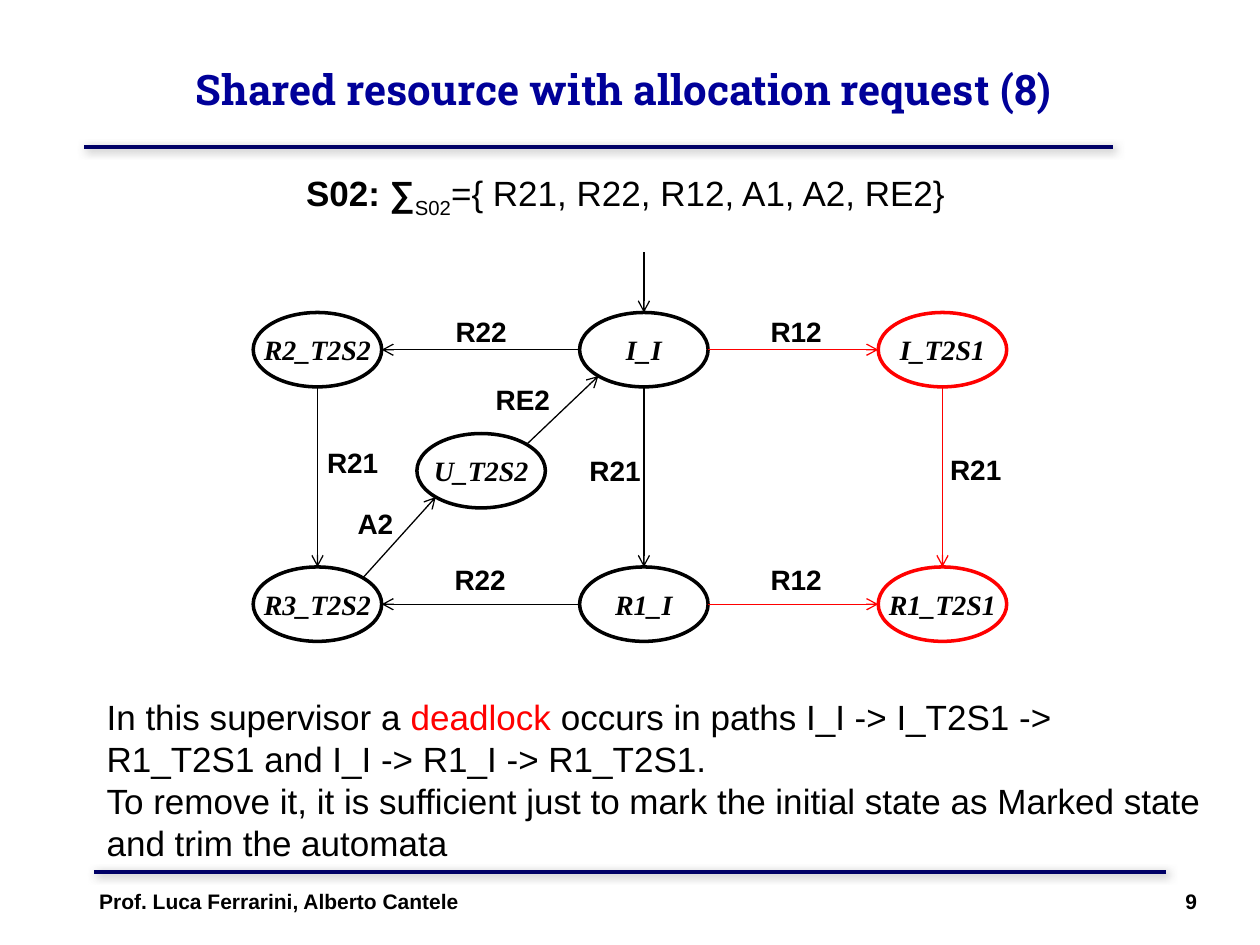
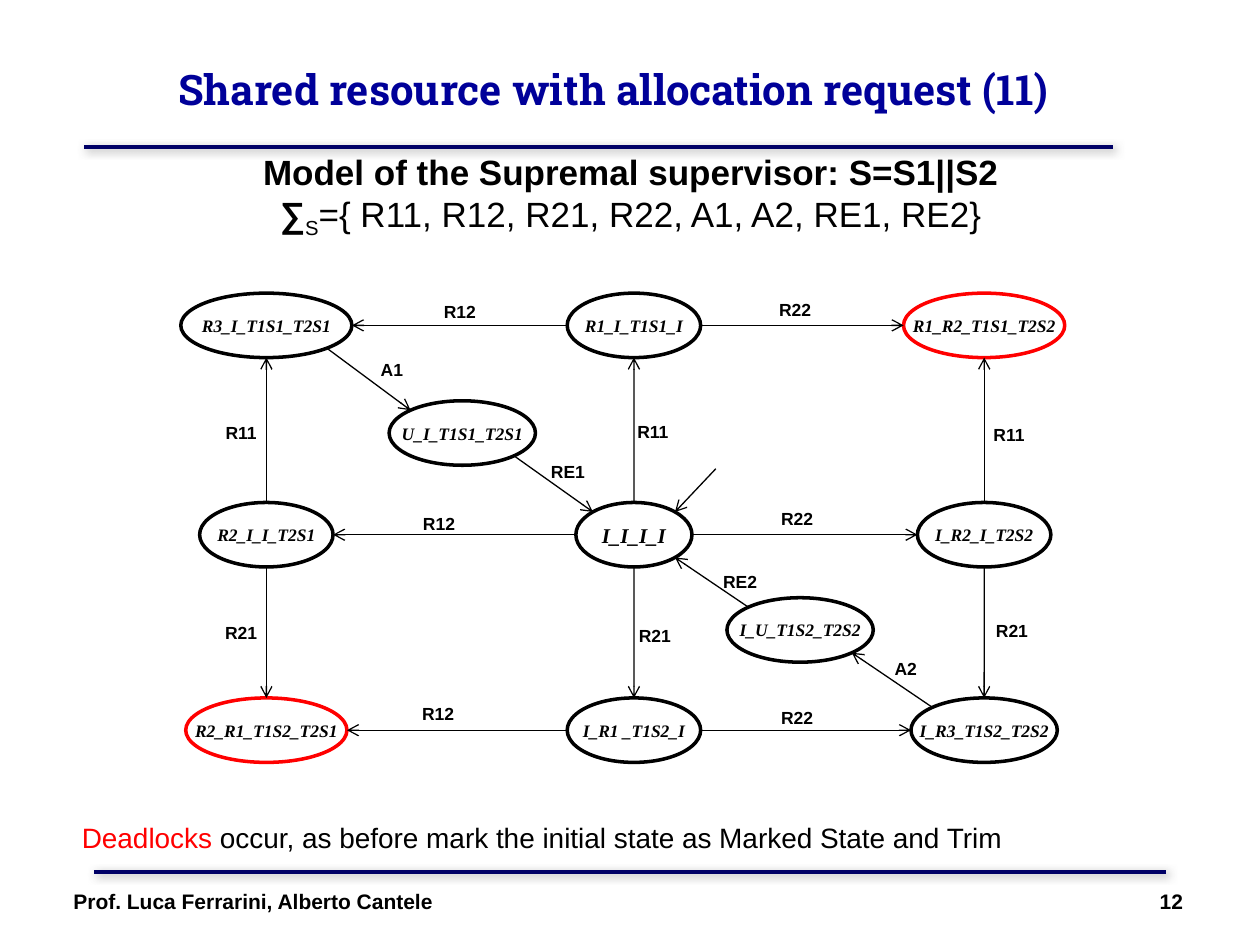
"""Build two slides of state diagrams for a shared-resource supervisor."""
from math import sqrt

from lxml import etree
from pptx import Presentation
from pptx.dml.color import RGBColor
from pptx.enum.shapes import MSO_CONNECTOR, MSO_SHAPE
from pptx.enum.text import MSO_ANCHOR, PP_ALIGN
from pptx.oxml.ns import qn
from pptx.util import Cm, Pt

OVAL = MSO_SHAPE.OVAL
STRAIGHT = MSO_CONNECTOR.STRAIGHT
TOP, MIDDLE = MSO_ANCHOR.TOP, MSO_ANCHOR.MIDDLE
LEFT, CENTER, RIGHT = PP_ALIGN.LEFT, PP_ALIGN.CENTER, PP_ALIGN.RIGHT

BLACK = RGBColor(0x00, 0x00, 0x00)
WHITE = RGBColor(0xFF, 0xFF, 0xFF)
RED = RGBColor(0xFF, 0x00, 0x00)
NAVY = RGBColor(0x00, 0x00, 0x66)
BLUE = RGBColor(0x00, 0x00, 0x99)
GRAY = RGBColor(0x80, 0x80, 0x80)

SANS, SERIF, SLAB = "Arial", "Times New Roman", "Roboto Slab"
AUTHORS = "Prof. Luca Ferrarini, Alberto Cantele"

DIAG = sqrt(0.5)
SITES = {
    "n": (0, 0, -1), "nw": (1, -DIAG, -DIAG),
    "w": (2, -1, 0), "sw": (3, -DIAG, DIAG),
    "s": (4, 0, 1), "se": (5, DIAG, DIAG),
    "e": (6, 1, 0), "ne": (7, DIAG, -DIAG),
}


def write(frame, paras, size=20, font=SANS, color=BLACK, bold=False,
          italic=False, align=LEFT, anchor=TOP, wrap=True, inset=None):
    """Fill a text frame; a run is a string or a (string, changes) pair."""
    frame.word_wrap = wrap
    frame.vertical_anchor = anchor
    if inset is not None:
        frame.margin_left = frame.margin_right = Cm(inset)
        frame.margin_top = frame.margin_bottom = Cm(inset)
    for i, runs in enumerate(paras):
        para = frame.add_paragraph() if i else frame.paragraphs[0]
        para.alignment = align
        for item in runs:
            words, change = (item, {}) if isinstance(item, str) else item
            run = para.add_run()
            run.text = words
            run.font.name = font
            run.font.size = Pt(size)
            run.font.italic = italic
            run.font.bold = change.get("bold", bold)
            run.font.color.rgb = change.get("color", color)
            if "base" in change:
                run.font._element.set("baseline", str(change["base"] * 1000))


def text(slide, left, top, width, height, paras, **form):
    """Add a text box with formatted paragraphs."""
    box = slide.shapes.add_textbox(Cm(left), Cm(top), Cm(width), Cm(height))
    write(box.text_frame, paras, **form)


def line(slide, start, end, color=BLACK, width=0.75):
    """Add a straight line and return it with its empty effect list."""
    ends = [Cm(v) for v in (*start, *end)]
    link = slide.shapes.add_connector(STRAIGHT, *ends)
    link.line.color.rgb = color
    link.line.width = Pt(width)
    effects = etree.SubElement(link._element.spPr, qn("a:effectLst"))
    return link, effects


def arrow(slide, start, end, color=BLACK):
    """Add a line with an open arrowhead at its end."""
    link, _ = line(slide, start, end, color)
    etree.SubElement(link.line._get_or_add_ln(), qn("a:tailEnd"), type="arrow")
    return link


def rule(slide, left, right, y):
    """Add a navy rule with a soft grey shadow."""
    _, effects = line(slide, (left, y), (right, y), NAVY, 2.25)
    shade = etree.SubElement(effects, qn("a:outerShdw"), blurRad=str(Pt(5)),
                             dist=str(Pt(1.4)), dir="2700000")
    tint = etree.SubElement(shade, qn("a:srgbClr"), val=str(GRAY))
    etree.SubElement(tint, qn("a:alpha"), val="75000")


def state(slide, name, x, y, width, height, color=BLACK, size=16):
    """Add an oval state centred on a point."""
    oval = slide.shapes.add_shape(OVAL, Cm(x - width / 2), Cm(y - height / 2),
                                  Cm(width), Cm(height))
    oval.shadow.inherit = False
    oval.fill.solid()
    oval.fill.fore_color.rgb = WHITE
    oval.line.color.rgb = color
    oval.line.width = Pt(2)
    write(oval.text_frame, [[name]], size=size, font=SERIF, bold=True,
          italic=True, align=CENTER, anchor=MIDDLE, wrap=False, inset=0)
    return oval


def site(oval, side):
    """Give the point on an oval's rim, in centimetres."""
    _, dx, dy = SITES[side]
    return (oval.left.cm + oval.width.cm * (1 + dx) / 2,
            oval.top.cm + oval.height.cm * (1 + dy) / 2)


def join(slide, tail, out, head, into, color=BLACK):
    """Draw an arrow between two ovals, glued at the ends of their axes."""
    link = arrow(slide, site(tail, out), site(head, into), color)
    glue = link._element.nvCxnSpPr.cNvCxnSpPr
    for tag, oval, side in (("a:stCxn", tail, out), ("a:endCxn", head, into)):
        if len(side) == 1:
            etree.SubElement(glue, qn(tag), id=str(oval.shape_id),
                             idx=str(SITES[side][0]))


def graph(slide, ovals, edges, size):
    """Draw the labelled arrows of a state graph."""
    for tail, out, head, into, label, x, y, color in edges:
        join(slide, ovals[tail], out, ovals[head], into, color)
        text(slide, x - 0.85, y - 0.47, 1.7, 0.94, [[label]], size=size,
             bold=True, align=CENTER, anchor=MIDDLE, inset=0)


def base(deck, title, title_x, number, name_x, num_x):
    """Add a slide with title, rules and footer."""
    slide = deck.slides.add_slide(deck.slide_layouts[6])
    rule(slide, 1.7, 22.43, 2.97)
    rule(slide, 1.9, 23.5, 17.58)
    text(slide, title_x, 0.2, 21.6, 3.17, [[title]], size=24, font=SLAB,
         color=BLUE, bold=True, align=CENTER, anchor=MIDDLE)
    text(slide, name_x, 17.78, 14, 1.27, [[AUTHORS]], size=12, bold=True)
    text(slide, num_x, 17.78, 2, 1.27, [[str(number)]], size=12, bold=True,
         align=RIGHT)
    return slide


def request(deck):
    """Build the slide on supervisor S02."""
    slide = base(deck, "Shared resource with allocation request (8)", 1.78,
                 9, 1.75, 22.38)
    text(slide, 5.92, 3.33, 13.82, 1.12, [[
        ("S02: ∑", {"bold": True}), ("S02", {"base": -25}),
        "={ R21, R22, R12, A1, A2, RE2}"]])
    text(slide, 1.9, 13.9, 22.6, 3.68, [
        ["In this supervisor a ", ("deadlock", {"color": RED}),
         " occurs in paths I_I -> I_T2S1 -> R1_T2S1 and "
         "I_I -> R1_I -> R1_T2S1."],
        ["To remove it, it is sufficient just to mark the initial state "
         "as Marked state and trim the automata"]])

    west, mid, east = 6.4, 12.98, 19
    high, low = 7.05, 12.18
    states = [
        ("R2_T2S2", west, high, BLACK), ("I_I", mid, high, BLACK),
        ("I_T2S1", east, high, RED), ("U_T2S2", 9.7, 9.49, BLACK),
        ("R3_T2S2", west, low, BLACK), ("R1_I", mid, low, BLACK),
        ("R1_T2S1", east, low, RED),
    ]
    ovals = {name: state(slide, name, x, y, 2.59, 1.5, color)
             for name, x, y, color in states}
    graph(slide, ovals, [
        ("I_I", "w", "R2_T2S2", "e", "R22", 9.7, 6.67, BLACK),
        ("I_I", "e", "I_T2S1", "w", "R12", 16.05, 6.67, RED),
        ("R2_T2S2", "s", "R3_T2S2", "n", "R21", 7.11, 9.33, BLACK),
        ("I_I", "s", "R1_I", "n", "R21", 12.4, 9.49, BLACK),
        ("I_T2S1", "s", "R1_T2S1", "n", "R21", 19.67, 9.46, RED),
        ("R1_I", "w", "R3_T2S2", "e", "R22", 9.68, 11.67, BLACK),
        ("R1_I", "e", "R1_T2S1", "w", "R12", 16.05, 11.67, RED),
        ("R3_T2S2", "ne", "U_T2S2", "sw", "A2", 7.57, 10.55, BLACK),
        ("U_T2S2", "ne", "I_I", "sw", "RE2", 10.54, 8.06, BLACK),
    ], 16)
    arrow(slide, (mid, 5.08), site(ovals["I_I"], "n"))


def supremal(deck):
    """Build the slide on the supremal supervisor."""
    slide = base(deck, "Shared resource with allocation request (11)", 1.57,
                 12, 1.23, 22.1)
    text(slide, 1.42, 2.9, 22.6, 1.96, [
        [("Model of the Supremal supervisor: S=S1||S2", {"bold": True})],
        [("∑", {"bold": True}), ("S", {"base": -25}),
         "={ R11, R12, R21, R22, A1, A2, RE1, RE2}"]], align=CENTER)
    text(slide, 1.4, 16.41, 22.6, 0.94, [[
        ("Deadlocks", {"color": RED}),
        " occur, as before mark the initial state as Marked State and Trim",
    ]], size=16)

    west, mid, east = 5.37, 12.78, 19.84
    high, half, low = 6.56, 10.78, 14.72
    states = [
        ("R3_I_T1S1_T2S1", west, high, 3.45, BLACK, 10),
        ("R1_I_T1S1_I", mid, high, 2.69, BLACK, 10),
        ("R1_R2_T1S1_T2S2", east, high, 3.25, RED, 10),
        ("U_I_T1S1_T2S1", 9.32, 8.73, 2.95, BLACK, 10),
        ("R2_I_I_T2S1", west, half, 2.69, BLACK, 10),
        ("I_I_I_I", mid, half, 2.34, BLACK, 12),
        ("I_R2_I_T2S2", east, half, 2.69, BLACK, 10),
        ("I_U_T1S2_T2S2", 16.13, 12.7, 2.95, BLACK, 10),
        ("R2_R1_T1S2_T2S1", west, low, 3.25, RED, 10),
        ("I_R1 _T1S2_I", mid, low, 2.69, BLACK, 10),
        ("I_R3_T1S2_T2S2", east, low, 2.95, BLACK, 10),
    ]
    ovals = {name: state(slide, name, x, y, width, 1.3, color, size)
             for name, x, y, width, color, size in states}
    edges = [
        ("R1_I_T1S1_I", "w", "R3_I_T1S1_T2S1", "e", "R12", 9.27, 6.29),
        ("R1_I_T1S1_I", "e", "R1_R2_T1S1_T2S2", "w", "R22", 16.03, 6.24),
        ("R2_I_I_T2S1", "n", "R3_I_T1S1_T2S1", "s", "R11", 4.86, 8.72),
        ("I_I_I_I", "n", "R1_I_T1S1_I", "s", "R11", 13.16, 8.7),
        ("I_R2_I_T2S2", "n", "R1_R2_T1S1_T2S2", "s", "R11", 20.34, 8.75),
        ("I_I_I_I", "w", "R2_I_I_T2S1", "e", "R12", 8.85, 10.55),
        ("I_I_I_I", "e", "I_R2_I_T2S2", "w", "R22", 16.07, 10.45),
        ("R2_I_I_T2S1", "s", "R2_R1_T1S2_T2S1", "n", "R21", 4.86, 12.76),
        ("I_I_I_I", "s", "I_R1 _T1S2_I", "n", "R21", 13.2, 12.81),
        ("I_R2_I_T2S2", "s", "I_R3_T1S2_T2S2", "n", "R21", 20.4, 12.71),
        ("I_R1 _T1S2_I", "w", "R2_R1_T1S2_T2S1", "e", "R12", 8.83, 14.39),
        ("I_R1 _T1S2_I", "e", "I_R3_T1S2_T2S2", "w", "R22", 16.07, 14.47),
        ("R3_I_T1S1_T2S1", "se", "U_I_T1S1_T2S1", "nw", "A1", 7.9, 7.45),
        ("U_I_T1S1_T2S1", "se", "I_I_I_I", "nw", "RE1", 11.45, 9.51),
        ("I_R3_T1S2_T2S2", "nw", "I_U_T1S2_T2S2", "se", "A2", 18.26, 13.47),
        ("I_U_T1S2_T2S2", "nw", "I_I_I_I", "se", "RE2", 14.92, 11.72),
    ]
    graph(slide, ovals, [(*edge, BLACK) for edge in edges], 10)
    arrow(slide, (14.43, 9.45), site(ovals["I_I_I_I"], "ne"))


def main():
    """Build and save the deck."""
    deck = Presentation()
    deck.slide_width, deck.slide_height = Cm(25.4), Cm(19.05)
    request(deck)
    supremal(deck)
    deck.save("out.pptx")


if __name__ == "__main__":
    main()
